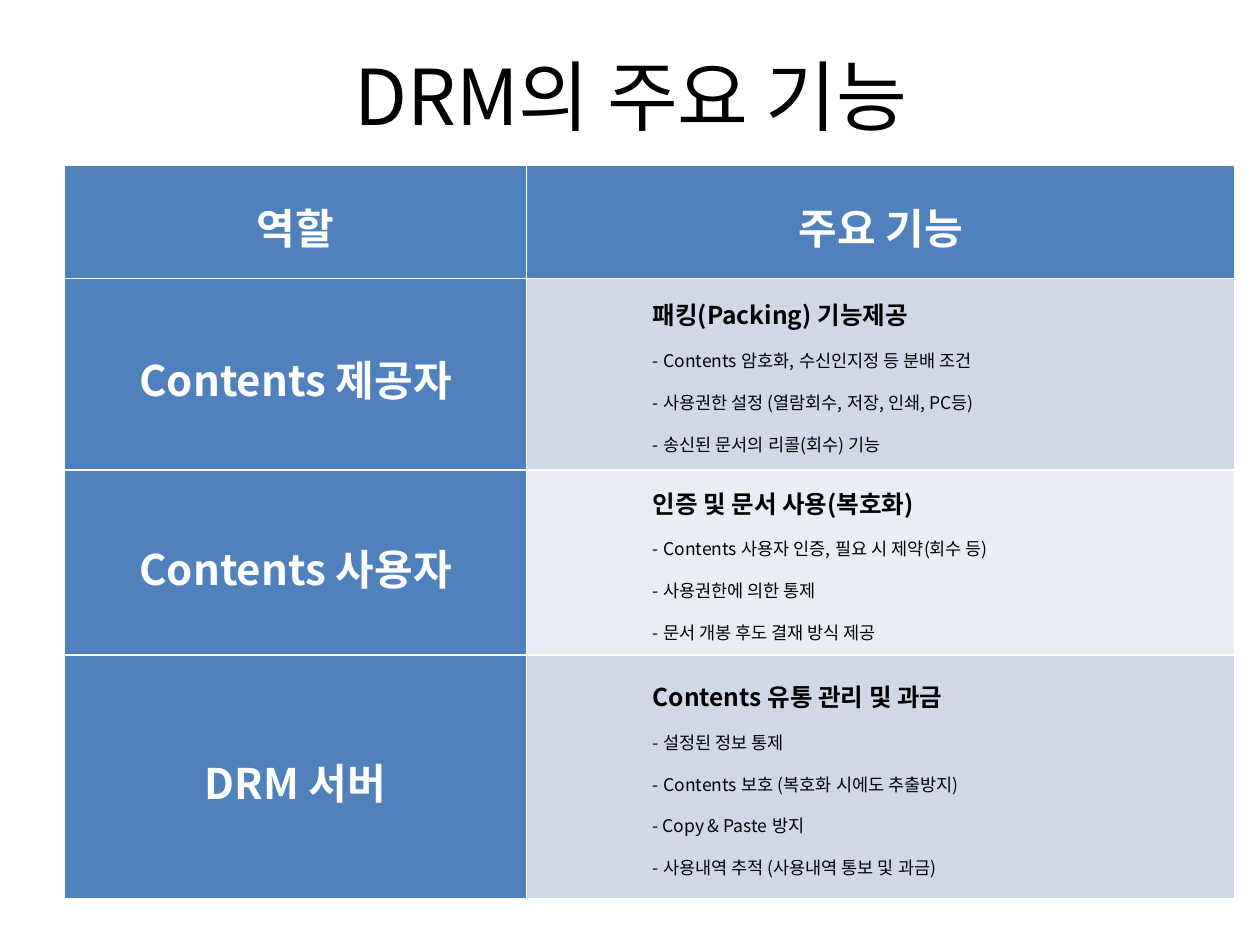
"""Build the slide on the main functions of DRM, a title over a role table."""
from pptx import Presentation
from pptx.dml.color import RGBColor
from pptx.enum.text import MSO_ANCHOR as ANCHOR, PP_ALIGN as ALIGN
from pptx.oxml.ns import qn
from pptx.util import Inches, Pt

BLACK = RGBColor(0x00, 0x00, 0x00)
WHITE = RGBColor(0xFF, 0xFF, 0xFF)
BLUE = RGBColor(0x4F, 0x81, 0xBD)
DARK_BAND = RGBColor(0xD0, 0xD8, 0xE8)
LIGHT_BAND = RGBColor(0xE9, 0xED, 0xF4)
KOREAN = "Noto Sans CJK KR"

HEADERS = ["역할", "주요 기능"]
ROLES = [
    ("Contents 제공자", "패킹(Packing) 기능제공", [
        "-|Contents|암호화,|수신인지정 등 분배 조건",
        "-|사용권한 설정 (열람회수,|저장,|인쇄, PC등)",
        "-|송신된 문서의|리콜(회수)|기능",
    ]),
    ("Contents 사용자", "인증 및 문서 사용(복호화)", [
        "-|Contents|사용자 인증,|필요 시|제약(회수 등)",
        "-|사용권한에 의한 통제",
        "-|문서 개봉 후도 결재 방식 제공",
    ]),
    ("DRM 서버", "Contents 유통 관리 및 과금", [
        "-|설정된 정보 통제",
        "-|Contents|보호 (복호화|시에도 추출방지)",
        "- Copy & Paste|방지",
        "-|사용내역 추적 (사용내역 통보 및|과금)",
    ]),
]
COL_WIDTHS = [3.67, 5.62]
ROW_HEIGHTS = [0.9, 1.52, 1.47, 1.93]


def add_text(p, text, size, color=BLACK, bold=False, font=KOREAN, align=ALIGN.LEFT, indent=0):
    """Write text in a paragraph; each | becomes a wider 12 pt space."""
    p.alignment = align
    if indent:
        p._p.get_or_add_pPr().set("marL", str(Inches(indent)))
    for i, part in enumerate(text.split("|")):
        for piece, pt in ([(" ", 12)] if i else []) + [(part, size)]:
            r = p.add_run()
            r.text = piece
            r.font.size = Pt(pt)
            r.font.bold = bold
            r.font.name = font
            r.font.color.rgb = color
            r._r.get_or_add_rPr().find(qn("a:latin")).addnext(
                r._r.makeelement(qn("a:ea"), {"typeface": KOREAN}))


prs = Presentation()
prs.slide_width, prs.slide_height = Inches(10), Inches(7.5)
s = prs.slides.add_slide(prs.slide_layouts[5])

title = s.shapes.title
title.left, title.top, title.width, title.height = map(Inches, (0.51, 0.13, 9, 1.25))
title.text_frame.vertical_anchor = ANCHOR.MIDDLE
add_text(title.text_frame.paragraphs[0], "DRM의 주요 기능", 44, align=ALIGN.CENTER)

table = s.shapes.add_table(
    len(ROW_HEIGHTS), len(COL_WIDTHS), Inches(0.51), Inches(1.31),
    Inches(sum(COL_WIDTHS)), Inches(sum(ROW_HEIGHTS))).table
table.first_col = True
for col, width in zip(table.columns, COL_WIDTHS):
    col.width = Inches(width)
for row, height in zip(table.rows, ROW_HEIGHTS):
    row.height = Inches(height)

for c, header in enumerate(HEADERS):
    add_text(table.cell(0, c).text_frame.paragraphs[0], header, 24, WHITE, True,
             "Arial", ALIGN.CENTER)

for n, (role, heading, functions) in enumerate(ROLES, 1):
    add_text(table.cell(n, 0).text_frame.paragraphs[0], role, 24, WHITE, True,
             align=ALIGN.CENTER)
    tf = table.cell(n, 1).text_frame
    add_text(tf.paragraphs[0], heading, 14, bold=True, indent=1)
    for function in functions:
        add_text(tf.add_paragraph(), function, 10, indent=1)

for n, row in enumerate(table.rows):
    for c, cell in enumerate(row.cells):
        cell.margin_left = cell.margin_right = cell.margin_top = cell.margin_bottom = 0
        cell.vertical_anchor = ANCHOR.MIDDLE
        cell.fill.solid()
        band = DARK_BAND if n % 2 else LIGHT_BAND
        cell.fill.fore_color.rgb = BLUE if n == 0 or c == 0 else band
        for p in cell.text_frame.paragraphs:
            p.line_spacing = 1.15
            p.space_before = Pt(3.9)

prs.save("out.pptx")
